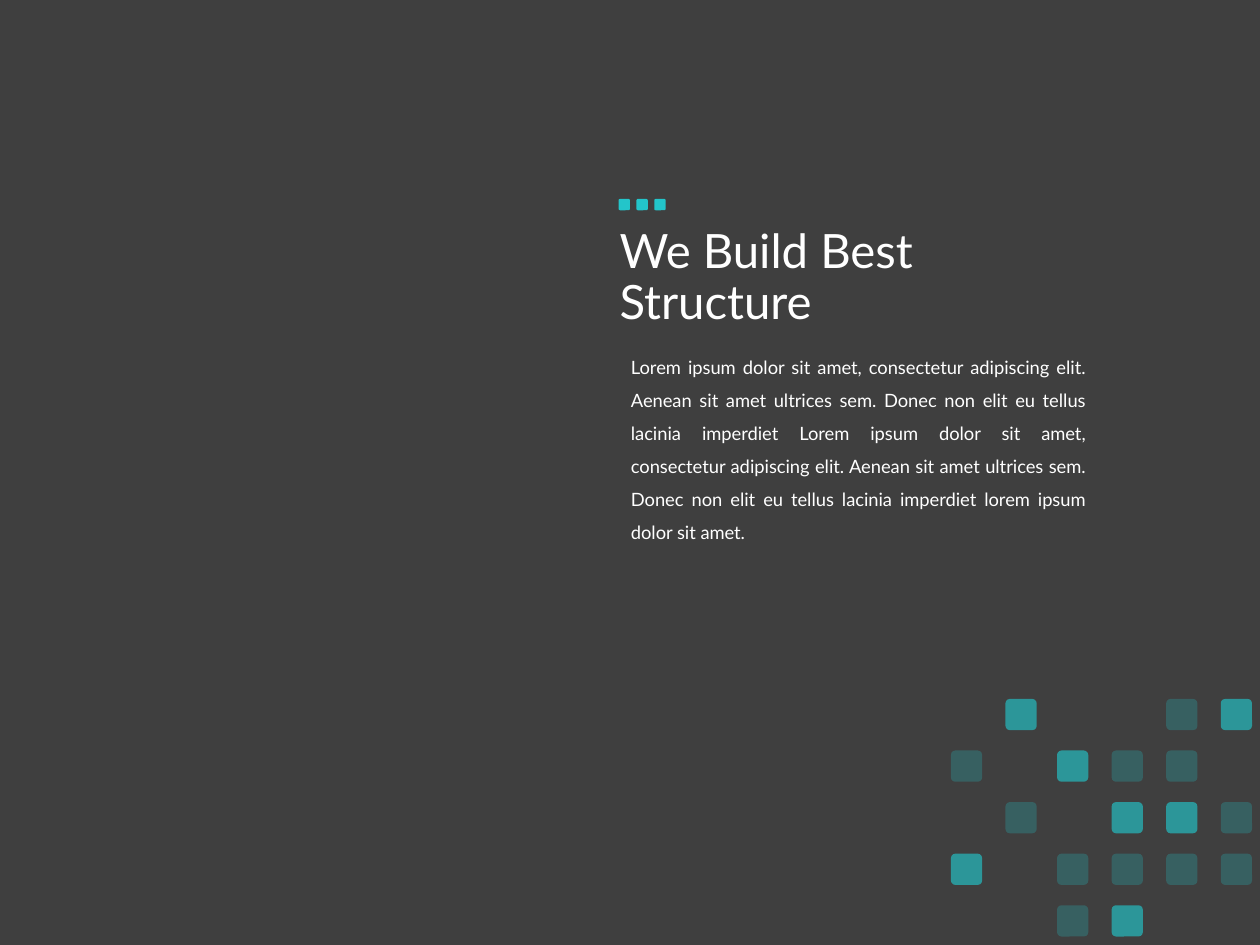
import pptx
import pptx.dml.color
import pptx.enum.shapes
import pptx.enum.text
import pptx.util
from lxml import etree
from pptx.util import Cm

FONT = "Lato"
WHITE = "FFFFFF"
TEAL = "23C5CA"
DARK = "3F3F3F"

# "#" is a strong tile, "+" a faint one, "." a gap
MOSAIC = [
    ".#..+#",
    "+.#++.",
    ".+.##+",
    "#.++++",
    "..+#..",
]
OPACITY = {"#": 65, "+": 25}
COLUMN_LEFTS = [19.17, 20.27, 21.31, 22.41, 23.51, 24.61]
ROW_TOP, ROW_PITCH, TILE_SIZE = 14.09, 1.04, 0.63
DOT_LEFT, DOT_TOP, DOT_PITCH, DOT_SIZE = 12.47, 4.01, 0.36, 0.23

TITLE = "We Build Best \vStructure"
BODY = (
    "Lorem ipsum dolor sit amet, consectetur adipiscing elit. "
    "Aenean sit amet ultrices sem. Donec non elit eu tellus lacinia imperdiet "
    "Lorem ipsum dolor sit amet, consectetur adipiscing elit. "
    "Aenean sit amet ultrices sem. Donec non elit eu tellus lacinia imperdiet "
    "lorem ipsum dolor sit amet."
)


def color(hex_string):
    return pptx.dml.color.RGBColor.from_string(hex_string)


def set_opacity(shape, percent):
    tag = pptx.oxml.ns.qn("a:srgbClr")
    for fill_color in shape.fill._xPr.iter(tag):
        alpha = etree.SubElement(fill_color, pptx.oxml.ns.qn("a:alpha"))
        alpha.set("val", str(percent * 1000))


def add_tile(group, left, top, size, opacity=100):
    tile = group.shapes.add_shape(
        pptx.enum.shapes.MSO_SHAPE.ROUNDED_RECTANGLE,
        Cm(left), Cm(top), Cm(size), Cm(size))
    tile.adjustments[0] = 0.14
    tile.shadow.inherit = False
    tile.fill.solid()
    tile.fill.fore_color.rgb = color(TEAL)
    tile.line.fill.background()
    if opacity < 100:
        set_opacity(tile, opacity)


def add_mosaic(page):
    group = page.shapes.add_group_shape()
    for row, marks in enumerate(MOSAIC):
        for left, mark in zip(COLUMN_LEFTS, marks):
            if mark in OPACITY:
                add_tile(group, left, ROW_TOP + row * ROW_PITCH, TILE_SIZE, OPACITY[mark])


def add_dots(page):
    group = page.shapes.add_group_shape()
    for index in range(3):
        add_tile(group, DOT_LEFT + index * DOT_PITCH, DOT_TOP, DOT_SIZE)


def add_text(page, text, left, top, width, height, size, spacing, align, anchor):
    box = page.shapes.add_textbox(Cm(left), Cm(top), Cm(width), Cm(height))
    frame = box.text_frame
    frame.word_wrap = True
    frame.vertical_anchor = anchor
    frame.text = text
    para = frame.paragraphs[0]
    para.alignment = align
    para.line_spacing = spacing
    for span in para.runs:
        span.font.name = FONT
        span.font.size = pptx.util.Pt(size)
        span.font.color.rgb = color(WHITE)


def main():
    deck = pptx.Presentation()
    deck.slide_width, deck.slide_height = Cm(25.4), Cm(19.05)
    page = deck.slides.add_slide(deck.slide_layouts[6])
    page.background.fill.solid()
    page.background.fill.fore_color.rgb = color(DARK)

    align = pptx.enum.text.PP_ALIGN
    anchor = pptx.enum.text.MSO_ANCHOR
    add_mosaic(page)
    add_text(page, TITLE, 12.24, 3.78, 21.89, 3.68, 27, 0.9, align.LEFT, anchor.MIDDLE)
    add_text(page, BODY, 12.47, 6.83, 9.68, 4.22, 10.5, 1.5, align.JUSTIFY, anchor.TOP)
    add_dots(page)
    deck.save("out.pptx")


if __name__ == "__main__":
    main()
